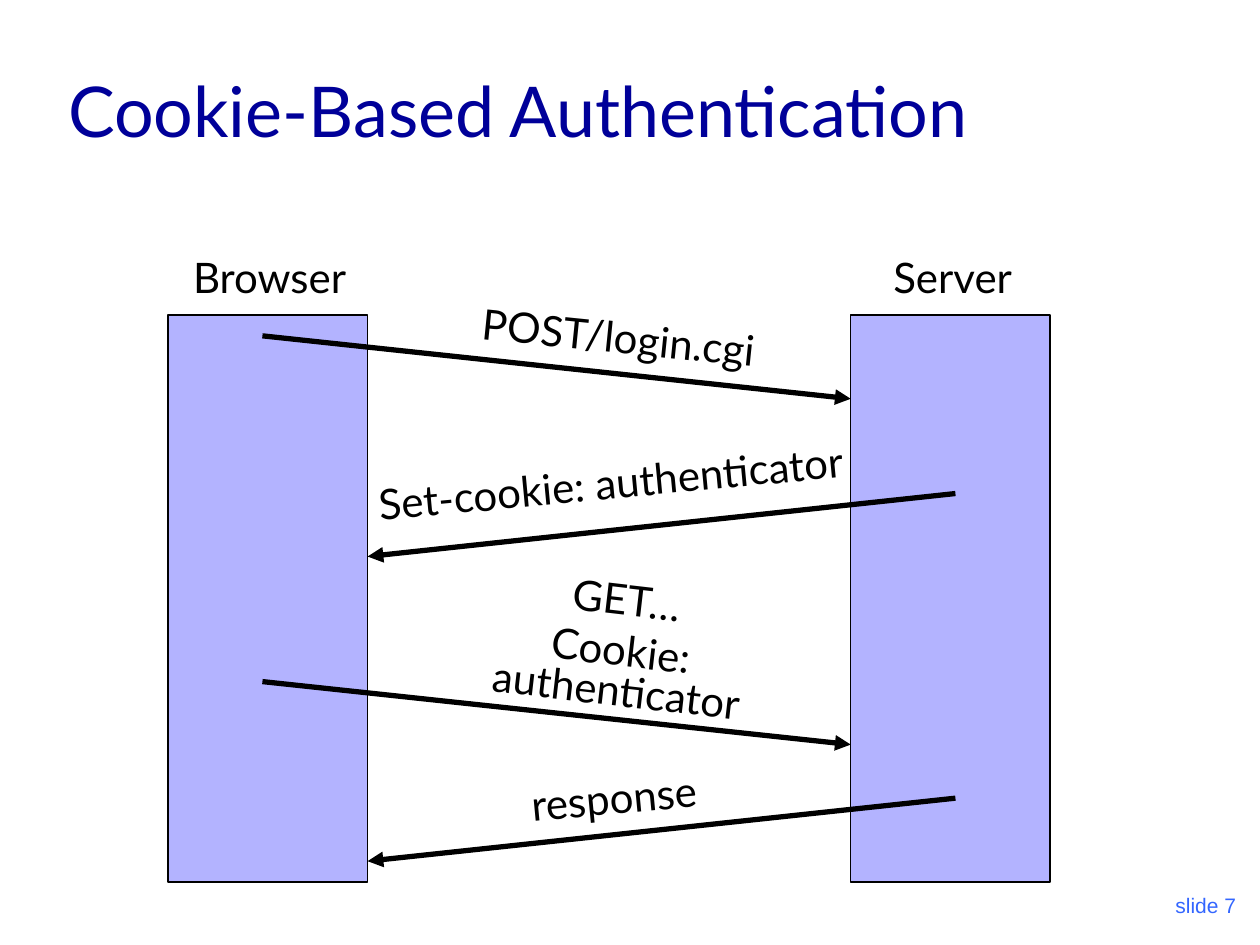
from lxml import etree
from pptx import Presentation
from pptx import util as u
from pptx.dml import color
from pptx.enum import shapes, text
from pptx.oxml import ns

BLACK, LILAC, NAVY, BLUE = "000000", "B3B3FF", "000099", "3366FF"
TITLE_ONLY = 5


def rgb(value):
    return color.RGBColor.from_string(value)


def set_values(target, **values):
    for name, value in values.items():
        setattr(target, name, value)


class SequenceSlide:
    """Holds the style and the slide being drawn; lengths are centimetres."""

    label_format = {"size": u.Pt(24), "name": "Lato"}
    title_format = {"size": u.Pt(40), "name": "Lato", "bold": False}
    footer_format = {"size": u.Pt(12), "name": "Arial"}

    def __init__(self, presentation):
        self.slide = presentation.slides.add_slide(
            presentation.slide_layouts[TITLE_ONLY])

    def set_text(self, frame, lines, font_format, ink, align, **paragraph_format):
        frame.text = "\n".join(lines)
        for paragraph in frame.paragraphs:
            set_values(paragraph, alignment=align, **paragraph_format)
            set_values(paragraph.font, **font_format)
            paragraph.font.color.rgb = rgb(ink)
        frame.paragraphs[0].space_before = u.Pt(0)

    def title(self, words, left, top, width, height):
        shape = self.slide.shapes.title
        set_values(shape, left=u.Cm(left), top=u.Cm(top),
                   width=u.Cm(width), height=u.Cm(height))
        set_values(shape.text_frame, vertical_anchor=text.MSO_ANCHOR.BOTTOM,
                   auto_size=text.MSO_AUTO_SIZE.NONE)
        self.set_text(shape.text_frame, [words], self.title_format, NAVY,
                      text.PP_ALIGN.LEFT)

    def column(self, left, top, width, height):
        shape = self.slide.shapes.add_shape(
            shapes.MSO_SHAPE.RECTANGLE, *map(u.Cm, (left, top, width, height)))
        shape.shadow.inherit = False
        shape.fill.solid()
        shape.fill.fore_color.rgb = rgb(LILAC)
        shape.line.color.rgb = rgb(BLACK)
        shape.line.width = u.Pt(0.75)

    def arrow(self, start_x, start_y, end_x, end_y):
        connector = self.slide.shapes.add_connector(
            shapes.MSO_CONNECTOR.STRAIGHT,
            *map(u.Cm, (start_x, start_y, end_x, end_y)))
        connector.line.color.rgb = rgb(BLACK)
        connector.line.width = u.Pt(3)
        properties = connector._element.spPr
        etree.SubElement(properties.find(ns.qn("a:ln")), ns.qn("a:tailEnd"),
                         type="triangle")
        etree.SubElement(properties, ns.qn("a:effectLst"))

    def label(self, lines, left, top, width, height=1.27, rotation=0,
              wrap=False, **paragraph_format):
        shape = self.slide.shapes.add_textbox(
            *map(u.Cm, (left, top, width, height)))
        shape.rotation = rotation
        set_values(shape.text_frame, word_wrap=wrap,
                   auto_size=text.MSO_AUTO_SIZE.SHAPE_TO_FIT_TEXT)
        self.set_text(shape.text_frame, lines, self.label_format, BLACK,
                      text.PP_ALIGN.CENTER, **paragraph_format)

    def footer(self, words, left, top, width, height):
        shape = self.slide.shapes.add_textbox(
            *map(u.Cm, (left, top, width, height)))
        set_values(shape.text_frame, word_wrap=True,
                   vertical_anchor=text.MSO_ANCHOR.BOTTOM)
        self.set_text(shape.text_frame, [words], self.footer_format, BLUE,
                      text.PP_ALIGN.RIGHT)


def main():
    presentation = Presentation()
    set_values(presentation, slide_width=u.Cm(25.4), slide_height=u.Cm(19.05))
    page = SequenceSlide(presentation)
    page.title("Cookie-Based Authentication", 1.12, 0.64, 23.22, 2.54)

    browser_left, server_left, column_width = 3.39, 17.15, 4.02
    for left in (browser_left, server_left):
        page.column(left, 6.35, column_width, 11.43)
    page.label(["Browser"], 3.53, 4.95, 3.81)
    page.label(["Server"], 17.68, 4.95, 3.05)

    drop = 1.27
    request = (5.29, server_left)
    reply = (19.26, browser_left + column_width)
    for (start_x, end_x), start_y in (
            (request, 6.77), (reply, 9.95), (request, 13.74), (reply, 16.09)):
        page.arrow(start_x, start_y, end_x, start_y + drop)

    page.label(["POST/login.cgi"], 9.32, 6.15, 6.3, rotation=5.8)
    page.label(["Set-cookie: authenticator"], 7.09, 9.09, 10.44, rotation=354.6)
    page.label(["GET…", "Cookie: authenticator"], 8.89, 11.63, 7.26, 2.92,
               rotation=6.7, wrap=True, line_spacing=0.8, space_before=u.Pt(6))
    page.label(["response"], 10.29, 15.44, 4.17, rotation=354.6)
    page.footer("slide 7", 19.89, 17.35, 5.28, 1.27)

    presentation.save("out.pptx")


if __name__ == "__main__":
    main()
